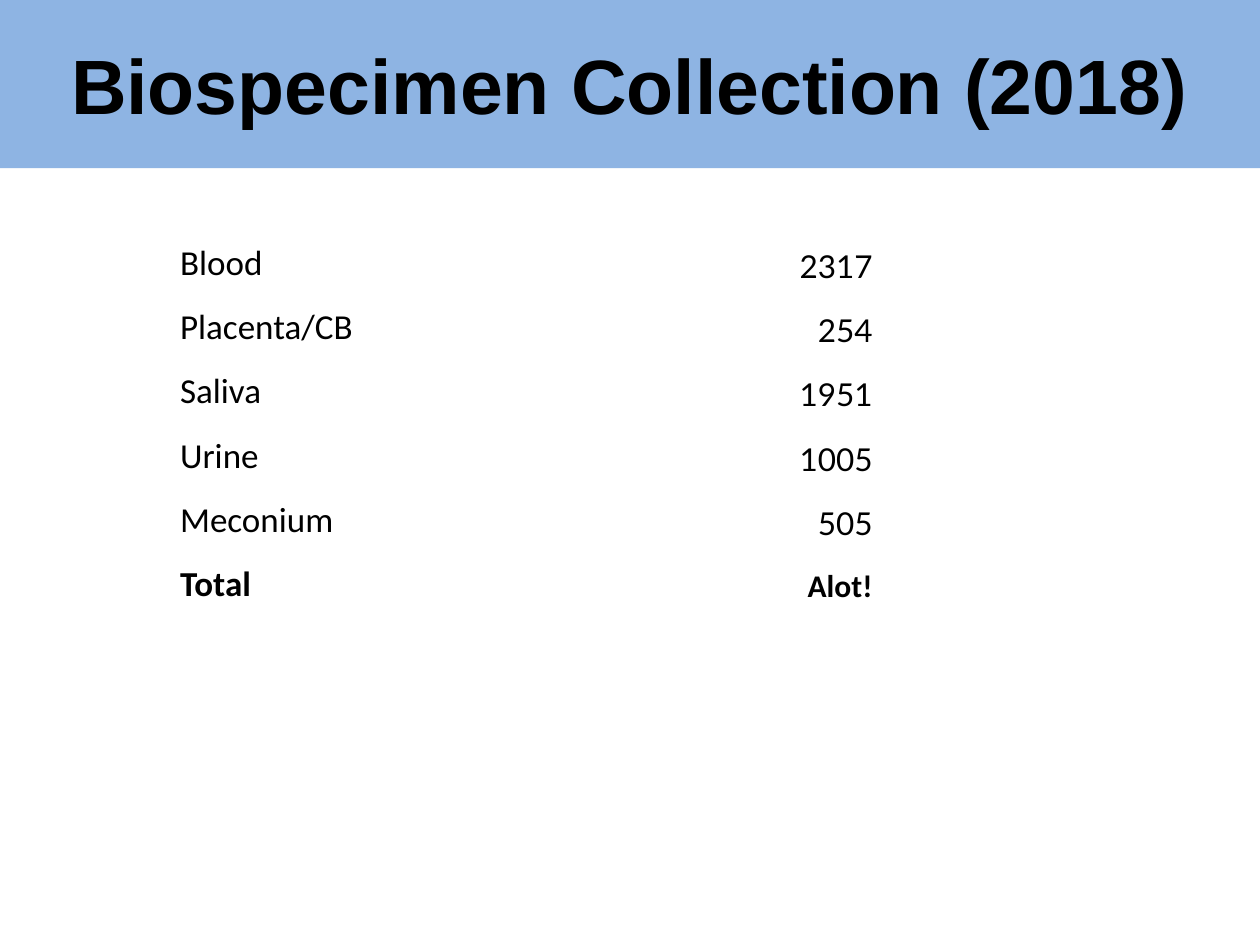
"""Build the biospecimen collection slide."""
from pptx import Presentation
from pptx.dml.color import RGBColor
from pptx.enum.shapes import MSO_SHAPE
from pptx.enum.text import MSO_ANCHOR, PP_ALIGN
from pptx.util import Cm, Pt

TITLE = "Biospecimen Collection (2018)"
ROWS = [
    ("Blood", "2317"),
    ("Placenta/CB", "254"),
    ("Saliva", "1951"),
    ("Urine", "1005"),
    ("Meconium", "505"),
    ("Total", "Alot!"),
]
COL_WIDTHS = (4.52, 9.5)
ROW_HEIGHT = 1.295
BLACK, BAND = "000000", "8EB4E3"


def color(hex_value):
    return RGBColor.from_string(hex_value)


def write(tf, text, size, font, align, bold=False):
    tf.text = text
    p = tf.paragraphs[0]
    p.alignment = align
    r = p.runs[0]
    r.font.size = Pt(size)
    r.font.name = font
    r.font.bold = bold
    r.font.color.rgb = color(BLACK)


def add_title(s, width):
    sp = s.shapes.add_shape(MSO_SHAPE.RECTANGLE, 0, 0, width, Cm(3.39))
    sp.shadow.inherit = False
    sp.fill.solid()
    sp.fill.fore_color.rgb = color(BAND)
    sp.line.fill.background()
    tf = sp.text_frame
    tf.word_wrap = True
    tf.vertical_anchor = MSO_ANCHOR.MIDDLE
    write(tf, TITLE, 44, "Arial", PP_ALIGN.CENTER, True)


def add_counts(s):
    frame = s.shapes.add_table(len(ROWS), len(COL_WIDTHS), Cm(3.6), Cm(4.45),
                               Cm(sum(COL_WIDTHS)), Cm(ROW_HEIGHT * len(ROWS)))
    table = frame.table
    table.first_row = table.horz_banding = False
    for col, width in zip(table.columns, COL_WIDTHS):
        col.width = Cm(width)
    for row, (label, count) in zip(table.rows, ROWS):
        row.height = Cm(ROW_HEIGHT)
        total = label == "Total"
        styles = [(label, 20, "Calibri", PP_ALIGN.LEFT),
                  (count, 18, "Calibri" if total else "Lato", PP_ALIGN.RIGHT)]
        for cell, style in zip(row.cells, styles):
            cell.fill.background()
            cell.vertical_anchor = MSO_ANCHOR.BOTTOM
            cell.margin_left = cell.margin_right = cell.margin_top = Cm(0.03)
            cell.margin_bottom = 0
            write(cell.text_frame, *style, bold=total)


def main():
    prs = Presentation()
    prs.slide_width, prs.slide_height = Cm(25.4), Cm(19.05)
    s = prs.slides.add_slide(prs.slide_layouts[6])
    add_title(s, prs.slide_width)
    add_counts(s)
    prs.save("out.pptx")


if __name__ == "__main__":
    main()
